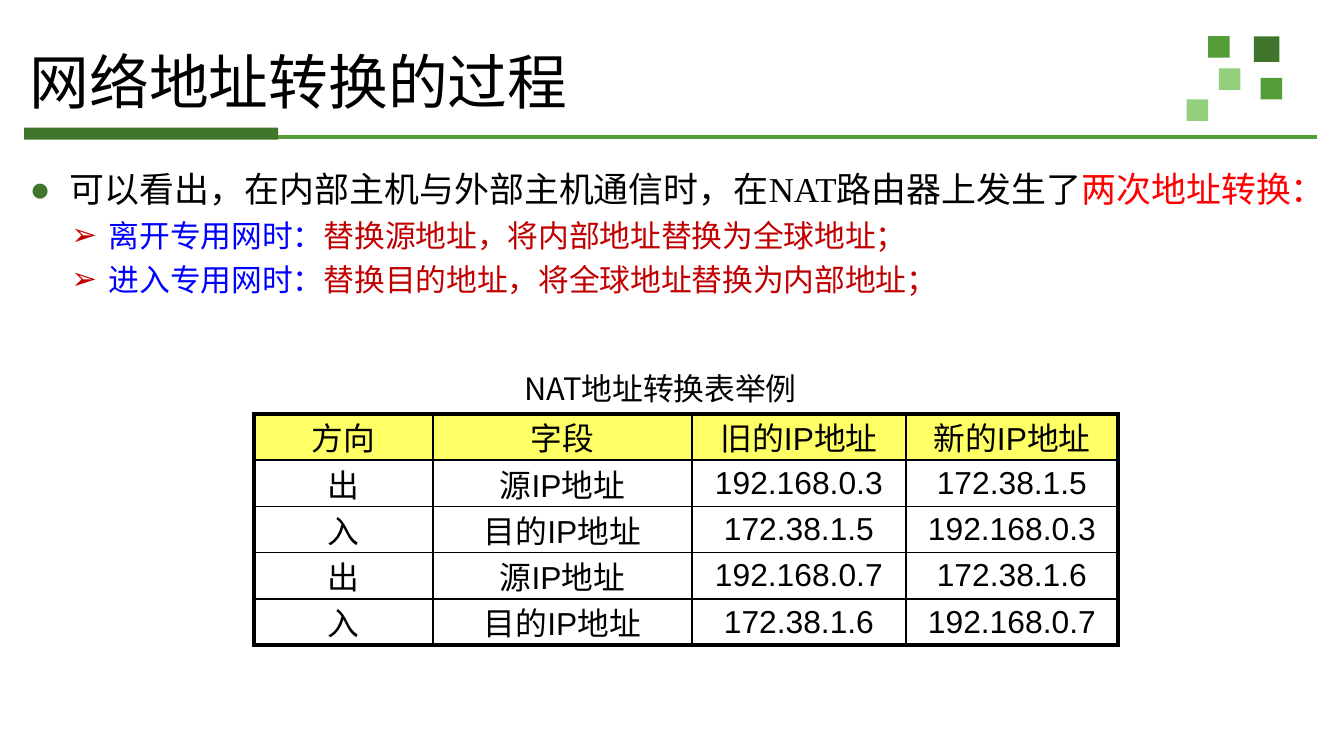
from pptx import Presentation
from pptx.dml.color import RGBColor
from pptx.enum.shapes import MSO_CONNECTOR, MSO_SHAPE
from pptx.enum.text import MSO_ANCHOR, MSO_AUTO_SIZE, PP_ALIGN
from pptx.oxml.ns import qn
from pptx.util import Pt
from lxml import etree

PX = 9144  # 100 px to the inch
RECTANGLE = MSO_SHAPE.RECTANGLE
STRAIGHT = MSO_CONNECTOR.STRAIGHT
MIDDLE = MSO_ANCHOR.MIDDLE
NO_AUTOFIT = MSO_AUTO_SIZE.NONE
LEFT, CENTER = PP_ALIGN.LEFT, PP_ALIGN.CENTER

SERIF, SANS, CJK = "Times New Roman", "Arial", "Noto Sans CJK SC"
BLACK, RED, DARK_RED, BLUE = "000000", "FF0000", "C00000", "0000FF"
DARK_GREEN, GREEN, LIGHT_GREEN = "3F762B", "549E39", "93D07D"
YELLOW = "FFFF66"

SQUARES = [(50, 0, 19, DARK_GREEN), (16, 0, 16, GREEN), (55, 31, 16, GREEN),
           (24, 24, 16, LIGHT_GREEN), (0, 47, 16, LIGHT_GREEN)]
# level, bullet, bullet colour, runs
POINTS = [
    (0, "●", DARK_GREEN,
     [("可以看出，在内部主机与外部主机通信时，在NAT路由器上发生了", BLACK),
      ("两次地址转换：", RED)]),
    (1, "➢", DARK_RED,
     [("离开专用网时：", BLUE),
      ("替换源地址，将内部地址替换为全球地址；", DARK_RED)]),
    (1, "➢", DARK_RED,
     [("进入专用网时：", BLUE),
      ("替换目的地址，将全球地址替换为内部地址；", DARK_RED)]),
]
# left margin, hanging indent, size, space before
LEVELS = [(30, 30, 18.75, 7.5), (59, 28, 16.5, 3.75)]
NAT_ROWS = [
    ("方向", "字段", "旧的IP地址", "新的IP地址"),
    ("出", "源IP地址", "192.168.0.3", "172.38.1.5"),
    ("入", "目的IP地址", "172.38.1.5", "192.168.0.3"),
    ("出", "源IP地址", "192.168.0.7", "172.38.1.6"),
    ("入", "目的IP地址", "172.38.1.6", "192.168.0.7"),
]
COLUMN_WIDTHS = [133, 193, 159, 158]


def color(value):
    return RGBColor.from_string(value)


def emu(*lengths):
    return [length * PX for length in lengths]


def set_font(font, size, name, fill):
    font.size, font.name = Pt(size), name
    font.color.rgb = color(fill)


def place(shape, box):
    shape.left, shape.top, shape.width, shape.height = emu(*box)


def set_insets(frame):
    frame.margin_left = frame.margin_right = 7 * PX
    frame.margin_top = frame.margin_bottom = 4 * PX
    frame.word_wrap = True
    frame.auto_size = NO_AUTOFIT


def add_block(slide, box, fill):
    block = slide.shapes.add_shape(RECTANGLE, *emu(*box))
    block.shadow.inherit = False
    block.fill.solid()
    block.fill.fore_color.rgb = color(fill)
    block.line.fill.background()


def add_squares(slide, left, top):
    for dx, dy, side, fill in SQUARES:
        add_block(slide, (left + dx, top + dy, side, side), fill)


def add_title_rule(slide, left, top, width):
    bar_width, bar_height, line_y = 189, 9, top + 7
    add_block(slide, (left, top, bar_width, bar_height), DARK_GREEN)
    rule = slide.shapes.add_connector(
        STRAIGHT, *emu(left + bar_width, line_y, left + width, line_y))
    rule.line.color.rgb = color(GREEN)
    rule.line.width = Pt(2)
    etree.SubElement(rule._element.spPr, qn("a:effectLst"))


def fill_title(slide, box):
    title = slide.shapes.title
    place(title, box)
    frame = title.text_frame
    set_insets(frame)
    frame.vertical_anchor = MIDDLE
    frame.text = "网络地址转换的过程"
    heading = frame.paragraphs[0]
    heading.alignment, heading.line_spacing = LEFT, 0.9
    set_font(heading.font, 32, SERIF, BLACK)


def add_bullet(paragraph, mark, fill, margin, hanging):
    props = paragraph._p.get_or_add_pPr()
    props.set("marL", str(margin * PX))
    props.set("indent", str(-hanging * PX))
    bullet_color = etree.SubElement(props, qn("a:buClr"))
    etree.SubElement(bullet_color, qn("a:srgbClr"), val=fill)
    etree.SubElement(props, qn("a:buFont"), typeface=SANS)
    etree.SubElement(props, qn("a:buChar"), char=mark)


def fill_points(slide, box):
    body = slide.placeholders[1]
    place(body, box)
    frame = body.text_frame
    set_insets(frame)
    for index, (level, mark, mark_color, runs) in enumerate(POINTS):
        point = frame.add_paragraph() if index else frame.paragraphs[0]
        margin, hanging, size, space = LEVELS[level]
        point.level = level
        point.space_before = Pt(space if index else 0)
        add_bullet(point, mark, mark_color, margin, hanging)
        point.font.size, point.font.name = Pt(size), SERIF
        for text, fill in runs:
            run = point.add_run()
            run.text = text
            run.font.color.rgb = color(fill)


def add_border(cell, side, width):
    props = cell._tc.get_or_add_tcPr()
    border = etree.SubElement(props, qn(f"a:ln{side}"), w=str(Pt(width)))
    fill = etree.SubElement(border, qn("a:solidFill"))
    etree.SubElement(fill, qn("a:srgbClr"), val=BLACK)


def format_cell(cell, row, column):
    cell.margin_left = cell.margin_right = 5 * PX
    cell.margin_top = cell.margin_bottom = 0
    cell.vertical_anchor = MIDDLE
    outer_sides = {"L": column == 0, "R": column == len(COLUMN_WIDTHS) - 1,
                   "T": row == 0, "B": row == len(NAT_ROWS) - 1}
    for side, outer in outer_sides.items():
        add_border(cell, side, 2.25 if outer else 1)
    if row == 0:
        cell.fill.solid()
        cell.fill.fore_color.rgb = color(YELLOW)
    else:
        cell.fill.background()
    entry = cell.text_frame.paragraphs[0]
    entry.alignment = CENTER
    set_font(entry.font, 17, SANS, BLACK)


def add_nat_table(slide, left, top, row_height):
    box = (left, top, sum(COLUMN_WIDTHS), row_height * len(NAT_ROWS))
    table = slide.shapes.add_table(
        len(NAT_ROWS), len(COLUMN_WIDTHS), *emu(*box)).table
    table.first_row = table.horz_banding = False
    for column, width in zip(table.columns, COLUMN_WIDTHS):
        column.width = width * PX
    for r, entries in enumerate(NAT_ROWS):
        for c, text in enumerate(entries):
            cell = table.cell(r, c)
            cell.text = text
            format_cell(cell, r, c)


def add_caption(slide, box):
    frame = slide.shapes.add_textbox(*emu(*box)).text_frame
    frame.word_wrap = True
    frame.text = "NAT地址转换表举例"
    caption = frame.paragraphs[0]
    caption.alignment = CENTER
    set_font(caption.font, 16.5, CJK, BLACK)


def main():
    deck = Presentation()
    deck.slide_width = 1000 * PX
    deck.slide_height = deck.slide_width * 9 // 16
    slide = deck.slides.add_slide(deck.slide_layouts[1])
    add_squares(slide, 883, 27)
    add_title_rule(slide, 18, 95, 962)
    fill_title(slide, (15, 28, 963, 71))
    fill_points(slide, (15, 121, 963, 406))
    add_nat_table(slide, 189, 308, 32)
    add_caption(slide, (358, 270, 267, 38))
    deck.save("out.pptx")


if __name__ == "__main__":
    main()
